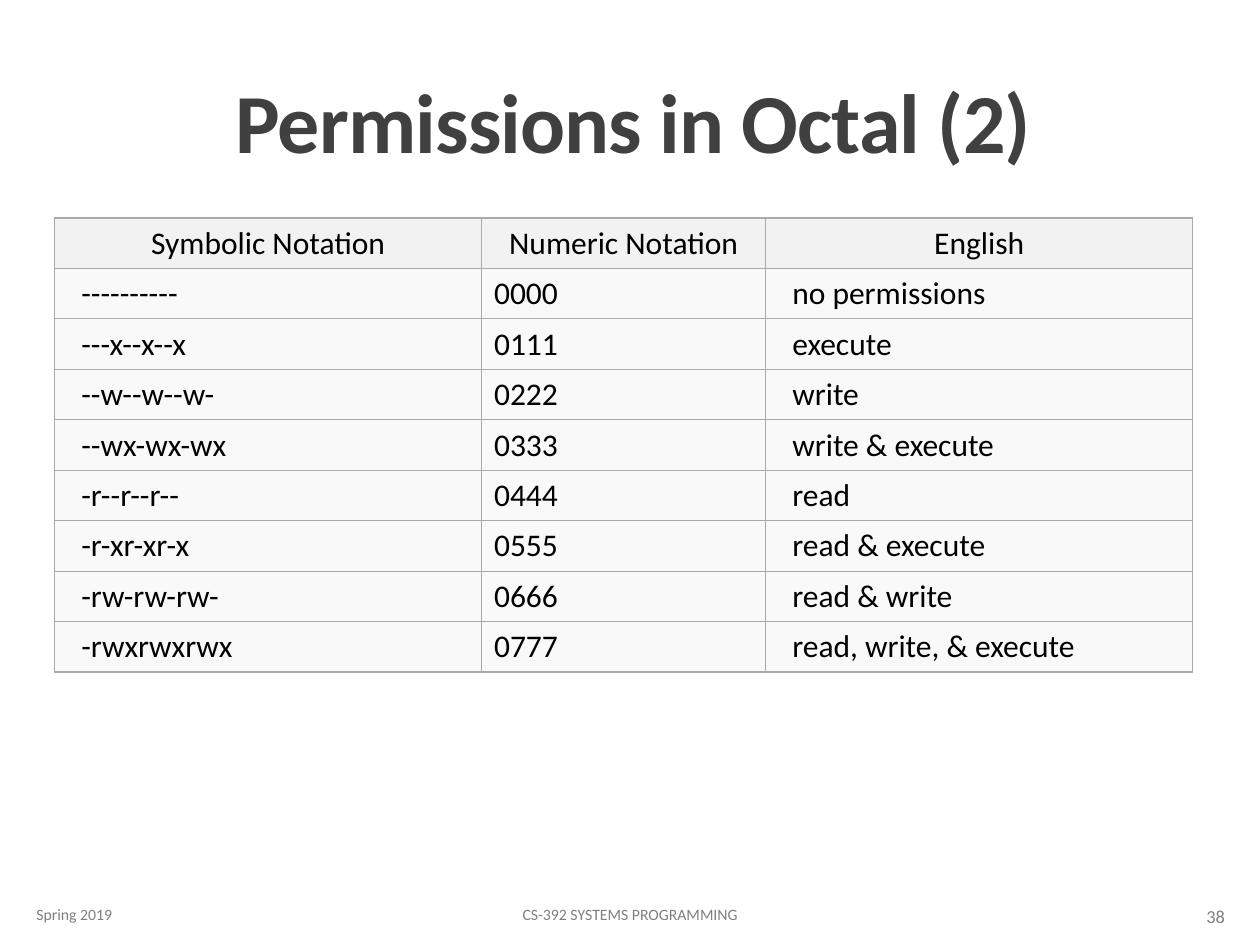
from typing import NamedTuple

from pptx import Presentation
from pptx.dml.color import RGBColor
from pptx.enum.text import MSO_ANCHOR as Anchor, PP_ALIGN as Align
from pptx.oxml import parse_xml
from pptx.oxml.ns import nsdecls
from pptx.util import Inches, Pt

FONT = "Calibri"
TITLE_COLOR = RGBColor(0x40, 0x40, 0x40)
FOOTER_COLOR = RGBColor(0x80, 0x80, 0x80)
TEXT_COLOR = RGBColor(0x00, 0x00, 0x00)
HEADER_FILL = RGBColor(0xF2, 0xF2, 0xF2)
BODY_FILL = RGBColor(0xF9, 0xF9, 0xF9)
BORDER_COLOR = RGBColor(0xAA, 0xAA, 0xAA)

# The page is a grid of 100 columns by 75 rows.
COLUMNS, ROWS = 100, 75
UNIT = Inches(0.1)

HEADINGS = ["Symbolic Notation", "Numeric Notation", "English"]
MEANINGS = ["no permissions", "execute", "write", "write & execute",
            "read", "read & execute", "read & write", "read, write, & execute"]
COLUMN_SHARES = [3, 2, 3]


class Box(NamedTuple):
    """An area in grid columns and rows."""
    left: float
    top: float
    width: float
    height: float

    def slot(self, left, width, drop=0):
        return Box(self.left + left, self.top + drop, width, self.height)

    def lengths(self):
        return [round(value * UNIT) for value in self]


def write(frame, text, align, size, color, bold=False):
    """Put one formatted line in a text frame and return its paragraph."""
    para = frame.paragraphs[0]
    para.alignment = align
    span = para.add_run()
    span.text = text
    styles = {"name": FONT, "size": Pt(size), "bold": bold}
    for name, value in styles.items():
        setattr(span.font, name, value)
    span.font.color.rgb = color
    return para


def add_text(page, box, text, align, size, color, anchor=Anchor.MIDDLE, bold=False):
    frame = page.shapes.add_textbox(*box.lengths()).text_frame
    frame.word_wrap = True
    frame.vertical_anchor = anchor
    return write(frame, text, align, size, color, bold)


def add_title(page, box):
    para = add_text(page, box, "Permissions in Octal (2)", Align.CENTER, 48,
                    TITLE_COLOR, Anchor.BOTTOM, bold=True)
    para.line_spacing = 0.85
    para.runs[0].font._element.set("spc", "-50")


def add_footer(page, box):
    items = [
        ("Spring 2019", box.slot(0, 20.3), Align.LEFT, 9),
        ("CS-392 SYSTEMS PROGRAMMING", box.slot(28.3, 39.6), Align.CENTER, 9),
        ("38", box.slot(box.width - 10.8, 10.8, drop=0.1), Align.RIGHT, 10.5),
    ]
    for text, area, align, size in items:
        add_text(page, area, text, align, size, FOOTER_COLOR)


def symbolic(digit):
    """Spell an octal digit as a mode string, alike for owner, group and others."""
    triad = "".join(letter if digit & bit else "-"
                    for letter, bit in (("r", 4), ("w", 2), ("x", 1)))
    return "-" + triad * 3


def add_borders(cell):
    properties = cell._tc.get_or_add_tcPr()
    for side in ("lnL", "lnR", "lnT", "lnB"):
        properties.append(parse_xml(
            f'<a:{side} {nsdecls("a")} w="{Pt(0.75)}"><a:solidFill>'
            f'<a:srgbClr val="{BORDER_COLOR}"/></a:solidFill></a:{side}>'))


def add_permission_table(page, box):
    body = [(symbolic(digit), f"0{digit}{digit}{digit}", meaning)
            for digit, meaning in enumerate(MEANINGS)]
    lines = [HEADINGS] + body
    table = page.shapes.add_table(len(lines), len(HEADINGS), *box.lengths()).table
    table.horz_banding = False
    for column, share in zip(table.columns, COLUMN_SHARES):
        column.width = round(box.width * UNIT * share / sum(COLUMN_SHARES))
    for row, line in enumerate(lines):
        is_header = row == 0
        for col, text in enumerate(line):
            cell = table.cell(row, col)
            add_borders(cell)
            cell.fill.solid()
            cell.fill.fore_color.rgb = HEADER_FILL if is_header else BODY_FILL
            cell.vertical_anchor = Anchor.MIDDLE
            if not is_header and col != 1:
                cell.margin_left = Inches(0.21)
            align = Align.CENTER if is_header else Align.LEFT
            write(cell.text_frame, text, align, 18, TEXT_COLOR)


def main():
    deck = Presentation()
    deck.slide_width, deck.slide_height = COLUMNS * UNIT, ROWS * UNIT
    page = deck.slides.add_slide(deck.slide_layouts[6])
    add_title(page, Box(9, 0.4, 82.5, 13.6))
    add_permission_table(page, Box(4.35, 17.3, 90.3, 36))
    add_footer(page, Box(1.9, 70.6, 96.3, 4))
    deck.save("out.pptx")


if __name__ == "__main__":
    main()
